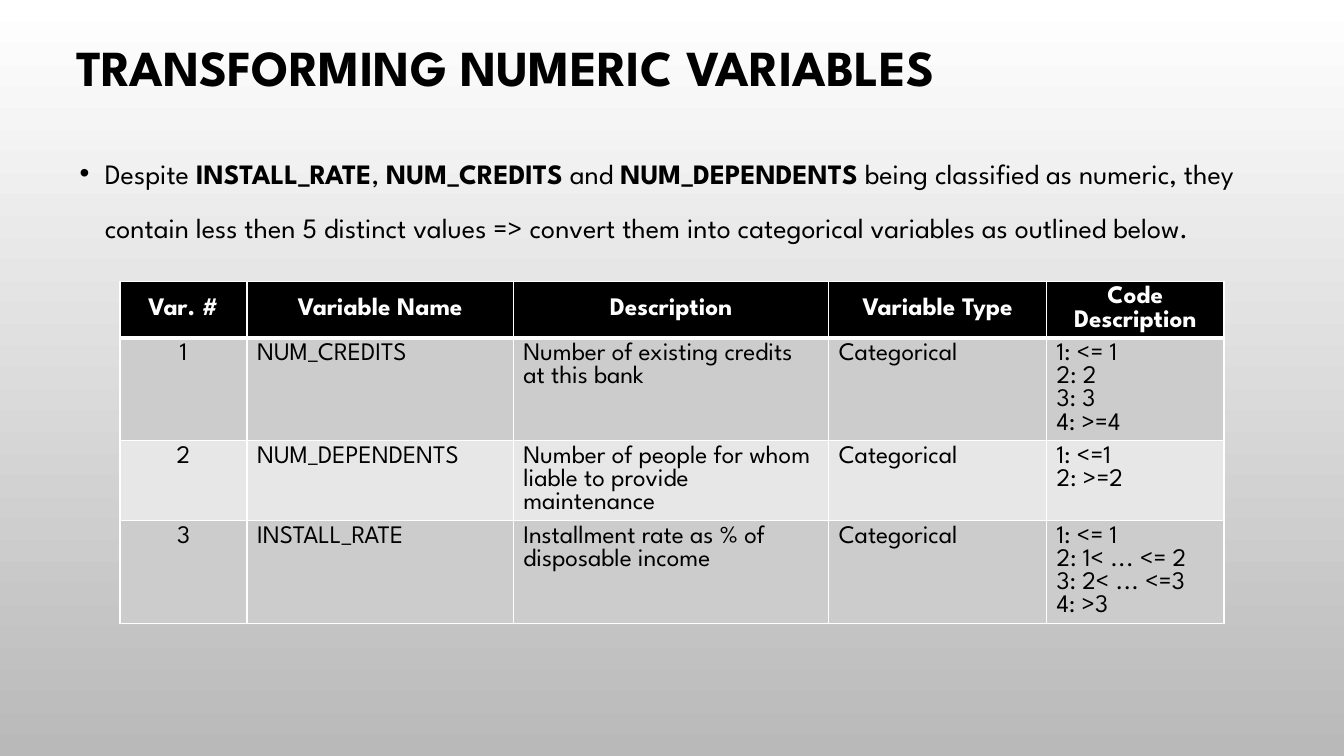
from dataclasses import dataclass

from lxml import etree
from pptx import Presentation
from pptx import util as u
from pptx.dml.color import RGBColor
from pptx.enum import text
from pptx.oxml import ns

FONT = "League Spartan"
BLACK = RGBColor(0, 0, 0)
WHITE = RGBColor(0xFF, 0xFF, 0xFF)
BACKGROUND_END = RGBColor(0xB9, 0xB9, 0xB9)
BAND_DARK = RGBColor(0xCC, 0xCC, 0xCC)
BAND_LIGHT = RGBColor(0xE7, 0xE7, 0xE7)

HEADINGS = ("Var. #", "Variable Name", "Description", "Variable Type", "Code Description")
COLUMN_WIDTHS = (1.26, 2.64, 3.13, 2.16, 1.76)
ROW_HEIGHTS = (0.55, 1.02, 0.79, 1.02)


@dataclass(frozen=True)
class Variable:
    name: str
    description: str
    codes: str
    kind: str = "Categorical"


VARIABLES = (
    Variable("NUM_CREDITS", "Number of existing credits at this bank",
             "1: <= 1\n2: 2\n3: 3\n4: >=4"),
    Variable("NUM_DEPENDENTS", "Number of people for whom liable to provide maintenance",
             "1: <=1\n2: >=2"),
    Variable("INSTALL_RATE", "Installment rate as % of disposable income",
             "1: <= 1\n2: 1< ... <= 2\n3: 2< ... <=3\n4: >3"),
)

# Every second part is bold.
BODY_PARTS = (
    "Despite ", "INSTALL_RATE", ", ", "NUM_CREDITS", " and ", "NUM_DEPENDENTS",
    " being classified as numeric, they contain less then 5 distinct values => "
    "convert them into categorical variables as outlined below.",
)


def style_font(paragraph, size: float, color: RGBColor, bold: bool | None = None) -> None:
    font = paragraph.font
    font.name, font.size, font.bold = FONT, u.Pt(size), bold
    font.color.rgb = color


def place(shape, left: float, top: float, width: float, height: float) -> None:
    shape.left, shape.top = u.Inches(left), u.Inches(top)
    shape.width, shape.height = u.Inches(width), u.Inches(height)
    shape.text_frame.word_wrap = True
    shape.text_frame.auto_size = text.MSO_AUTO_SIZE.NONE


def add_bullet(paragraph, color: RGBColor) -> None:
    properties = paragraph._p.get_or_add_pPr()
    properties.set("marL", str(u.Inches(0.25)))
    properties.set("indent", str(-u.Inches(0.25)))
    bullet_color = etree.SubElement(properties, ns.qn("a:buClr"))
    etree.SubElement(bullet_color, ns.qn("a:srgbClr"), val=str(color))
    etree.SubElement(properties, ns.qn("a:buChar"), char="•")


def set_borders(cell, top: float, bottom: float) -> None:
    """Draw white borders: 1 point at the sides, given widths above and below."""
    properties = cell._tc.get_or_add_tcPr()
    for position, (side, width) in enumerate((("L", 1), ("R", 1), ("T", top), ("B", bottom))):
        line = etree.Element(ns.qn(f"a:ln{side}"), w=str(u.Pt(width)))
        fill = etree.SubElement(line, ns.qn("a:solidFill"))
        etree.SubElement(fill, ns.qn("a:srgbClr"), val=str(WHITE))
        properties.insert(position, line)


def add_background(slide) -> None:
    fill = slide.background.fill
    fill.gradient()
    fill.gradient_angle = 270
    for stop, color, position in zip(fill.gradient_stops, (WHITE, BACKGROUND_END), (0, 1)):
        stop.color.rgb = color
        stop.position = position


def add_title(slide) -> None:
    title = slide.shapes.title
    place(title, 0.14, 0, 9.75, 1.4)
    title.text_frame.vertical_anchor = text.MSO_ANCHOR.MIDDLE
    paragraph = title.text_frame.paragraphs[0]
    paragraph.text = "TRANSFORMING NUMERIC VARIABLES"
    paragraph.alignment = text.PP_ALIGN.CENTER
    paragraph.line_spacing = 0.9
    style_font(paragraph, 36, BLACK, True)


def add_body(slide) -> None:
    body = slide.placeholders[1]
    place(body, 0.69, 1.3, 12.07, 0.97)
    paragraph = body.text_frame.paragraphs[0]
    add_bullet(paragraph, BLACK)
    paragraph.line_spacing = 1.6
    paragraph.space_before = u.Pt(0)
    style_font(paragraph, 20, BLACK)
    for index, part in enumerate(BODY_PARTS):
        run = paragraph.add_run()
        run.text = part
        run.font.bold = index % 2 == 1


def add_variable_table(slide) -> None:
    rows = [HEADINGS] + [
        (str(number), variable.name, variable.description, variable.kind, variable.codes)
        for number, variable in enumerate(VARIABLES, 1)
    ]
    table = slide.shapes.add_table(
        len(rows), len(HEADINGS), u.Inches(1.19), u.Inches(2.79),
        u.Inches(sum(COLUMN_WIDTHS)), u.Inches(sum(ROW_HEIGHTS)),
    ).table
    for column, width in zip(table.columns, COLUMN_WIDTHS):
        column.width = u.Inches(width)
    for row_index, values in enumerate(rows):
        table.rows[row_index].height = u.Inches(ROW_HEIGHTS[row_index])
        is_header = row_index == 0
        band = BLACK if is_header else BAND_DARK if row_index % 2 else BAND_LIGHT
        for column_index, value in enumerate(values):
            cell = table.cell(row_index, column_index)
            cell.fill.solid()
            cell.fill.fore_color.rgb = band
            set_borders(cell, 3 if row_index == 1 else 1, 3 if is_header else 1)
            cell.vertical_anchor = text.MSO_ANCHOR.MIDDLE if is_header else text.MSO_ANCHOR.TOP
            paragraph = cell.text_frame.paragraphs[0]
            paragraph.text = value
            centred = is_header or column_index == 0
            paragraph.alignment = text.PP_ALIGN.CENTER if centred else text.PP_ALIGN.LEFT
            style_font(paragraph, 18, WHITE if is_header else BLACK, is_header)


def main() -> None:
    presentation = Presentation()
    presentation.slide_width, presentation.slide_height = u.Inches(13.33), u.Inches(7.5)
    slide = presentation.slides.add_slide(presentation.slide_layouts[1])
    add_background(slide)
    add_title(slide)
    add_body(slide)
    add_variable_table(slide)
    presentation.save("out.pptx")


if __name__ == "__main__":
    main()
